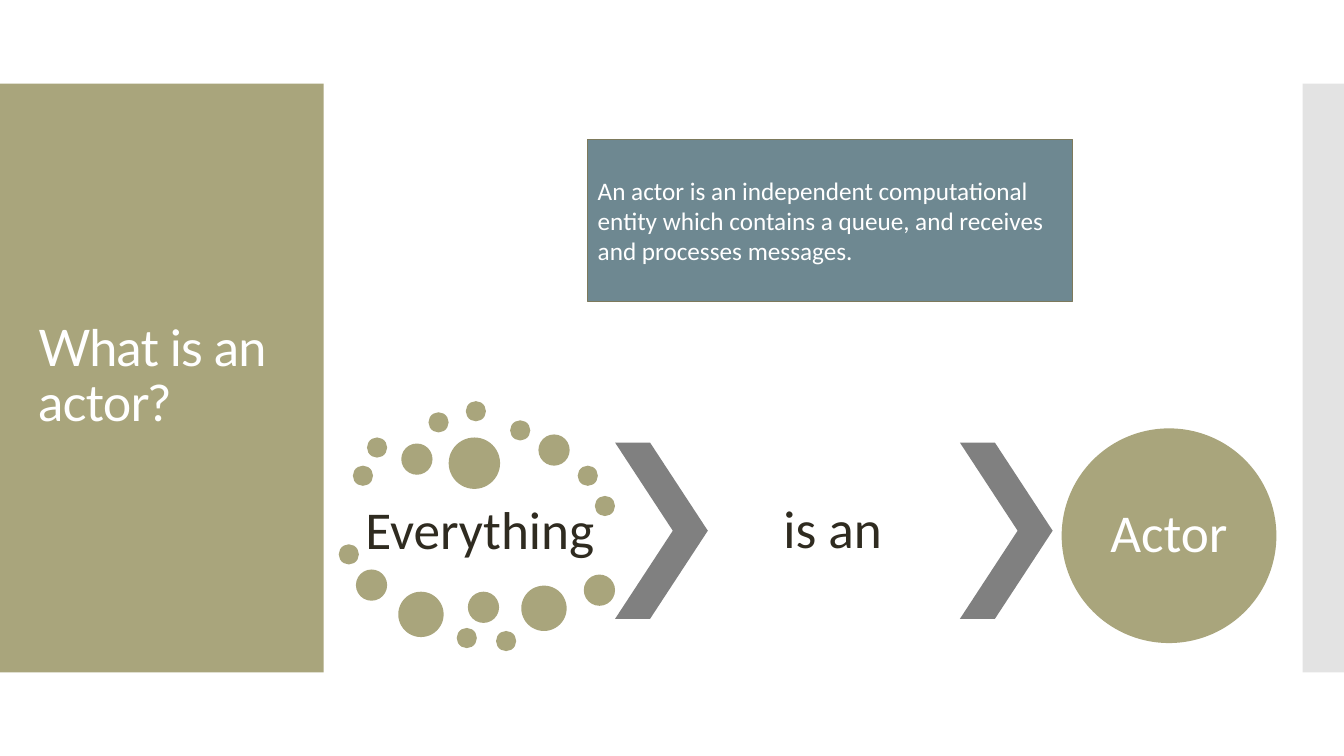
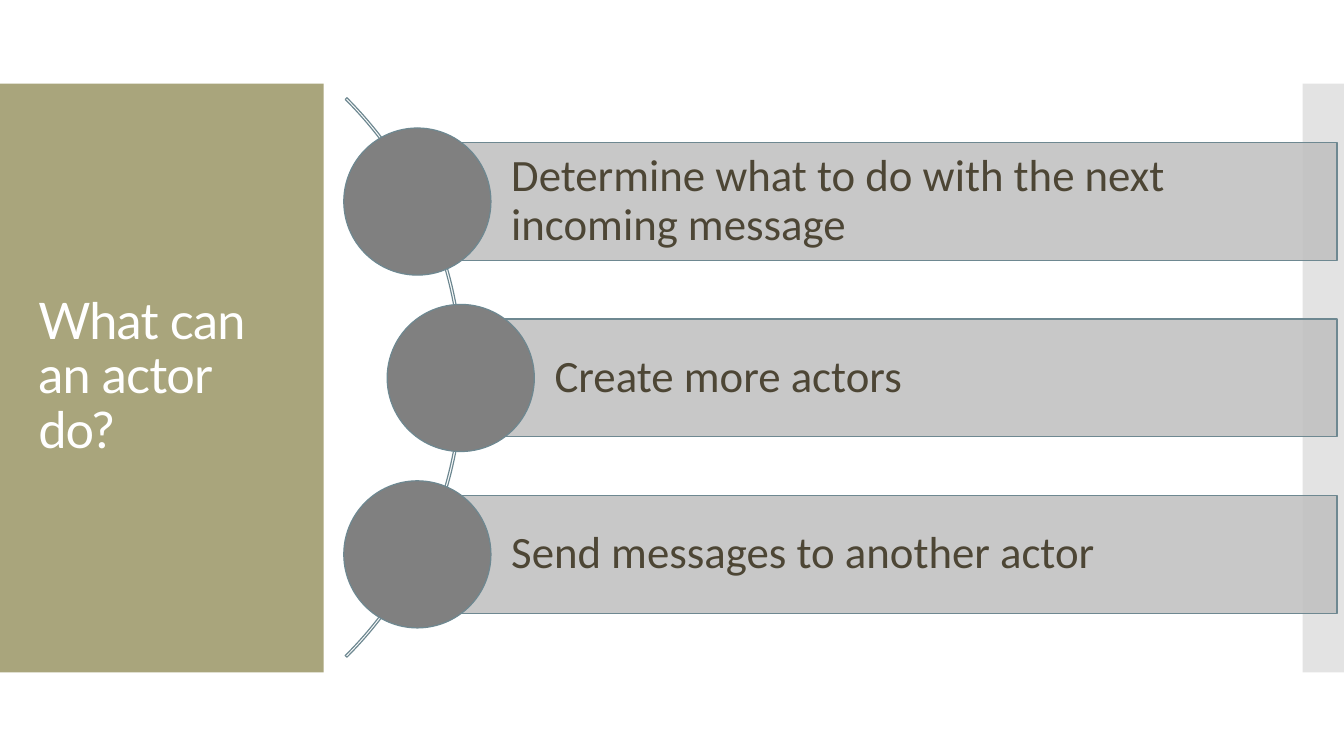
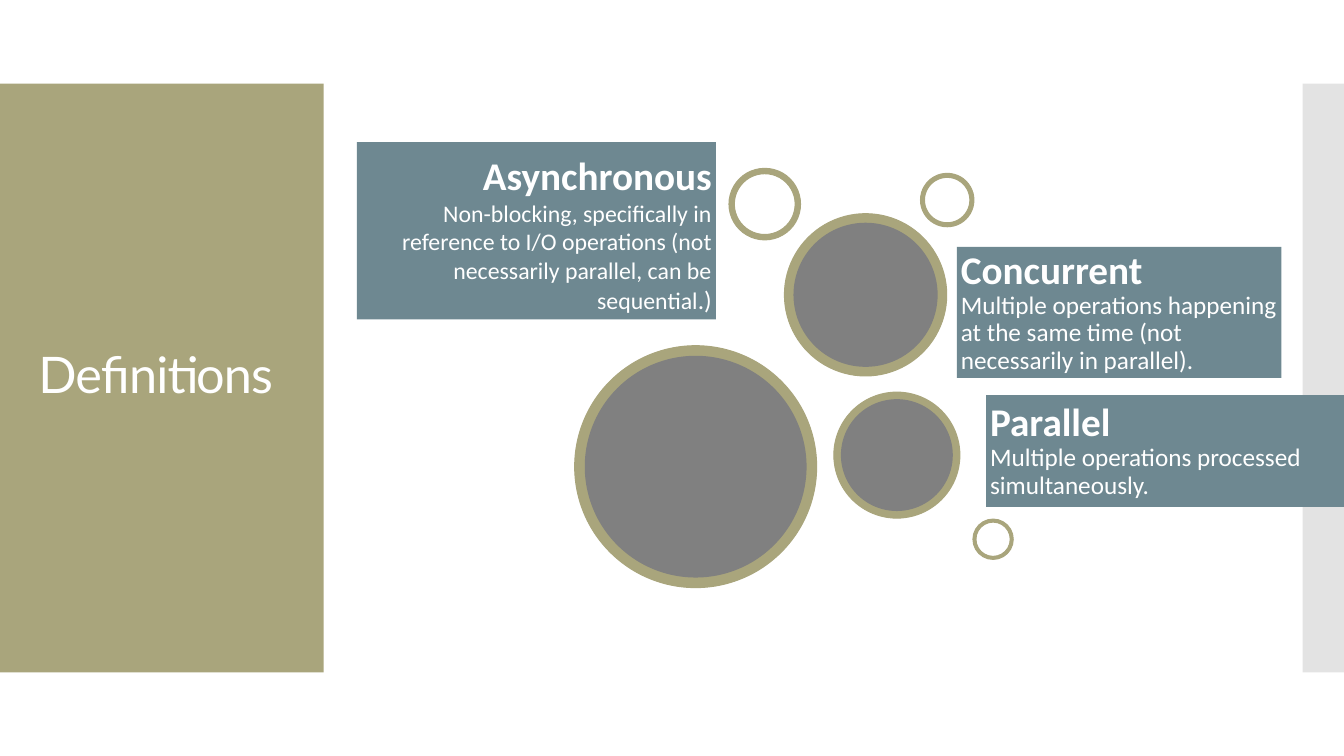
from lxml import etree
from pptx import Presentation
from pptx.dml.color import RGBColor
from pptx.enum import shapes, text
from pptx.oxml.ns import qn
from pptx.util import Inches, Pt

OLIVE, SLATE, GRAY, WHITE = "A9A57C", "6E8891", "808080", "FFFFFF"
INK, BROWN = "2F2B20", "4D4635"
SILVER, PANEL, BORDER = "BFBFBF", "C8C8C8", "7D7A5C"
BODY_FONT, TITLE_FONT = "Calibri", "Lato"
SHAPE = shapes.MSO_SHAPE
ALIGN = text.PP_ALIGN
BAND_TOP, BAND_HEIGHT = 0.83, 5.84


def color(hex_string):
    """Turn a hex string into a colour."""
    return RGBColor.from_string(hex_string)


def add_shape(slide, kind, box, fill=None, line=None, weight=0.75, opacity=None, adjustments=()):
    """Draw a flat preset shape in a box of inches."""
    shape = slide.shapes.add_shape(kind, *map(Inches, box))
    shape.shadow.inherit = False
    for index, value in enumerate(adjustments):
        shape.adjustments[index] = value
    if fill:
        shape.fill.solid()
        shape.fill.fore_color.rgb = color(fill)
    else:
        shape.fill.background()
    if opacity:
        fill_color = shape.element.spPr.find(".//" + qn("a:srgbClr"))
        etree.SubElement(fill_color, qn("a:alpha"), val=str(opacity * 1000))
    if line:
        shape.line.color.rgb = color(line)
        shape.line.width = Pt(weight)
    else:
        shape.line.fill.background()
    return shape


def write(shape, lines, fill=WHITE, align=ALIGN.LEFT, spacing=0.9, margins=(0.05,) * 4, font=BODY_FONT):
    """Write lines of (text, size, bold) runs as one paragraph."""
    frame = shape.text_frame
    frame.word_wrap = True
    frame.auto_size = text.MSO_AUTO_SIZE.NONE
    frame.vertical_anchor = text.MSO_ANCHOR.MIDDLE
    frame.margin_left, frame.margin_top, frame.margin_right, frame.margin_bottom = map(Inches, margins)
    paragraph = frame.paragraphs[0]
    paragraph.alignment = align
    paragraph.line_spacing = spacing
    for number, runs in enumerate(lines):
        if number:
            paragraph.add_line_break()
        for wording, size, bold in runs:
            run = paragraph.add_run()
            run.text = wording
            run.font.name = font
            run.font.size = Pt(size)
            run.font.bold = bold
            run.font.color.rgb = color(fill)
    return paragraph


def style_layout(layout, slide):
    """Give the layout its two side bands and its title position."""
    title_band = add_shape(slide, SHAPE.RECTANGLE, (0, BAND_TOP, 3.21, BAND_HEIGHT), OLIVE)
    edge_band = add_shape(slide, SHAPE.RECTANGLE, (12.92, BAND_TOP, 0.42, BAND_HEIGHT), PANEL, opacity=50)
    for position, band in enumerate((title_band, edge_band), start=2):
        layout.shapes.element.insert(position, band.element)
    title = layout.placeholders[0]
    title.left, title.top, title.width, title.height = map(Inches, (0.28, 1.23, 2.64, 5.03))


def add_title(slide, wording):
    """Write the slide title in its placeholder."""
    paragraph = write(slide.shapes.title, [[(wording, 36, False)]],
                      margins=(0.1, 0.05, 0.1, 0.05), font=TITLE_FONT)
    for run in paragraph.runs:
        run._r.get_or_add_rPr().set("spc", "-60")


def add_label(slide, box, wording):
    """Add a large centred dark label."""
    label = slide.shapes.add_textbox(*map(Inches, box))
    write(label, [[(wording, 38, False)]], INK, ALIGN.CENTER)


def add_dot_cloud(slide, left, top):
    """Scatter dots around the word Everything."""
    dots_by_size = {
        0.2: [(0.14, 0.64), (0.28, 0.36), (0.89, 0.11), (1.26, 0), (1.7, 0.19),
              (2.37, 0.64), (2.54, 0.94), (0, 1.42), (1.17, 2.25), (1.56, 2.28)],
        0.31: [(0.62, 0.42), (1.98, 0.33), (0.17, 1.67), (1.28, 1.89), (2.43, 1.72)],
        0.45: [(0.59, 1.89), (1.81, 1.83)],
        0.51: [(1.09, 0.36)],
    }
    for size, dots in dots_by_size.items():
        for x, y in dots:
            add_shape(slide, SHAPE.OVAL, (left + x, top + y, size, size), OLIVE)
    add_label(slide, (left + 0.15, top + 0.89, 2.5, 0.82), "Everything")


def add_actor_equation(slide, left, top):
    """Lay out the chain Everything, is an, Actor."""
    add_dot_cloud(slide, left, top)
    for x in (2.74, 6.16):
        add_shape(slide, SHAPE.CHEVRON, (left + x, top + 0.41, 0.92, 1.75), GRAY, adjustments=(0.623,))
    add_label(slide, (left + 3.65, top + 0.42, 2.5, 1.75), "is an")
    actor = add_shape(slide, SHAPE.OVAL, (left + 7.17, top + 0.27, 2.13, 2.13), OLIVE)
    write(actor, [[("Actor", 38, False)]], align=ALIGN.CENTER, margins=(0,) * 4)


def add_definition_box(slide, box):
    """Add the bordered box that defines an actor."""
    definition = add_shape(slide, SHAPE.RECTANGLE, box, SLATE, BORDER, 0.85)
    wording = ("An actor is an independent computational entity which contains a queue, "
               "and receives and processes messages.")
    write(definition, [[(wording, 18, False)]], spacing=1, margins=(0.1, 0.05, 0.1, 0.05))


def add_arc_list(slide, left, top, right):
    """List abilities as bars whose circles follow an arc."""
    add_shape(slide, SHAPE.BLOCK_ARC, (left - 6.67, top - 1.01, 7.85, 7.85),
              line=SLATE, weight=0.85, adjustments=(189, 27, 0.003))
    bar_height, circle, pitch = 1.17, 1.46, 1.75
    abilities = [
        (0, "Determine what to do with the next incoming message"),
        (0.43, "Create more actors"),
        (0, "Send messages to another actor"),
    ]
    for row, (indent, ability) in enumerate(abilities):
        circle_left = left + indent
        center_x = circle_left + circle / 2
        center_y = top + 1.17 + row * pitch
        bar = add_shape(slide, SHAPE.RECTANGLE,
                        (center_x, center_y - bar_height / 2, right - center_x, bar_height),
                        SILVER, SLATE, 0.85, opacity=85)
        write(bar, [[(ability, 32, False)]], BROWN, margins=(0.93, 0.09, 0.09, 0.09))
        add_shape(slide, SHAPE.OVAL, (circle_left, center_y - circle / 2, circle, circle), GRAY, SLATE, 0.85)


def add_bubbles(slide, left, top):
    """Group rimmed discs and open rings."""
    for x, y, size, rim in ((0, 1.76, 2.4, 0.1), (2.57, 2.22, 1.25, 0.07), (2.08, 0.45, 1.61, 0.09)):
        add_shape(slide, SHAPE.OVAL, (left + x, top + y, size, size), OLIVE, OLIVE)
        core = size - 2 * rim
        add_shape(slide, SHAPE.OVAL, (left + x + rim, top + y + rim, core, core), GRAY)
    for x, y, size in ((1.53, 0, 0.71), (3.43, 0.05, 0.53), (3.95, 3.48, 0.4)):
        add_shape(slide, SHAPE.DONUT, (left + x, top + y, size, size), OLIVE, OLIVE, adjustments=(0.075,))


def add_term(slide, box, term, meaning, align=ALIGN.LEFT, spacing=0.9, bottom=0.04):
    """Add a box with a bold term above its meaning."""
    card = add_shape(slide, SHAPE.RECTANGLE, box, SLATE)
    write(card, [[(term, 28, True)], meaning], align=align, spacing=spacing,
          margins=(0.04, 0.04, 0.04, bottom))


def build_what_is(slide):
    """Fill the slide that says what an actor is."""
    add_title(slide, "What is an actor?")
    add_actor_equation(slide, 3.36, 3.98)
    add_definition_box(slide, (5.83, 1.38, 4.81, 1.61))


def build_abilities(slide):
    """Fill the slide that says what an actor can do."""
    add_title(slide, "What can an actor do?")
    add_arc_list(slide, 3.41, BAND_TOP, 13.26)


def build_definitions(slide):
    """Fill the slide of definitions."""
    add_title(slide, "Definitions")
    add_bubbles(slide, 5.7, 1.67)
    add_term(slide, (3.54, 1.41, 3.56, 1.76), "Asynchronous",
             [("Non-blocking, specifically in reference to I/O operations "
               "(not necessarily parallel, can be sequential", 17, False), (".)", 18, False)],
             ALIGN.RIGHT, 1, 0)
    add_term(slide, (9.78, 3.92, 3.56, 1.11), "Parallel",
             [("Multiple operations processed simultaneously.", 18, False)])
    add_term(slide, (9.49, 2.45, 3.22, 1.3), "Concurrent",
             [("Multiple operations happening at the same time (not necessarily in parallel).", 18, False)])


def main():
    """Build and save the presentation."""
    presentation = Presentation()
    presentation.slide_width, presentation.slide_height = Inches(13.33), Inches(7.5)
    layout = presentation.slide_layouts.get_by_name("Title Only")
    builders = (build_what_is, build_abilities, build_definitions)
    slides = [presentation.slides.add_slide(layout) for _ in builders]
    style_layout(layout, slides[0])
    for build, slide in zip(builders, slides):
        build(slide)
    presentation.save("out.pptx")


if __name__ == "__main__":
    main()
